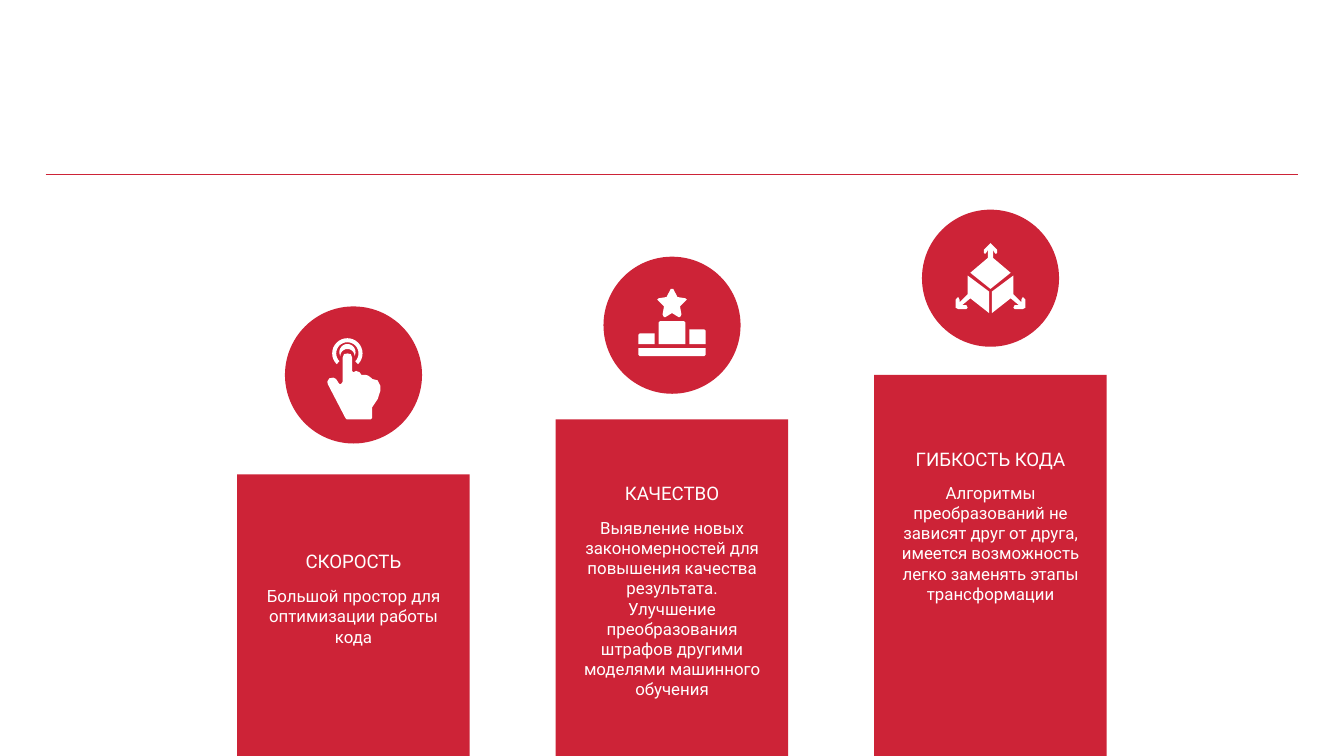
import math

import lxml.etree
import pptx
import pptx.dml.color
import pptx.enum.shapes
import pptx.enum.text
import pptx.oxml.ns
import pptx.util

Inches = pptx.util.Inches
SHAPES = pptx.enum.shapes.MSO_SHAPE
ANCHOR = pptx.enum.text.MSO_ANCHOR

SLIDE_W, SLIDE_H = 10, 10 * 9 / 16
RED, WHITE = "CD2337", "FFFFFF"
FONT = "Roboto"
COLUMN_STEP, BAR_W, CIRCLE = 2.37, 1.73, 1.02
HEADING_W, BODY_W = 2.27, 1.52


def mirror(points):
    return [(-x, y) for x, y in points]


def symmetric(left_half):
    return left_half + mirror(left_half)[::-1]


def arc(cx, cy, radius, start, end, steps=24):
    angles = [math.radians(start + (end - start) * i / steps) for i in range(steps + 1)]
    return [(cx + radius * math.cos(a), cy + radius * math.sin(a)) for a in angles]


# Icon outlines, in hundredths of an inch from the centre of the circle.
TOUCH_ICON = [
    arc(-4.5, -16, 11.3, 135, 405) + arc(-4.5, -16, 8.3, 405, 135),
    arc(-4.5, -17, 6, 160, 380) + arc(-4.5, -14, 5.3, 360, 180),
    [(-4.5, -16), (-7, -15.5), (-8, -13), (-8, 5), (-9, 6.5), (-10, 7),
     (-11, 6), (-13, 3), (-15, 2), (-18, 2.5), (-19.5, 5), (-19, 7),
     (-6, 32), (-5, 33), (13, 33), (14, 32), (14, 24), (18, 18), (20, 12),
     (20, 8), (18, 4), (14, 3), (13, 2), (11, 0.5), (9, 0), (6, 0),
     (4.5, -2), (2, -3), (0, -2), (-1, -3), (-1, -13), (-2, -15.5)],
]
PODIUM_ICON = [
    symmetric([(-1, -27), (-4, -21), (-10, -20), (-11, -19), (-10, -18),
               (-6, -14), (-7, -8), (-6, -6), (-5, -6), (0, -9)]),
    symmetric([(-10, 14), (-10, -2), (-9, -3)]),
    [(13, 3), (13, 14), (25, 14), (25, 4), (24, 3)],
    [(-24, 6), (-25, 7), (-25, 14), (-13, 14), (-13, 6)],
    symmetric([(-25, 17), (-25, 22), (-24, 23)]),
]
CUBE_SIDE = [(17, -2), (1, 10), (1, 26), (15, 15), (21, 20), (18, 20), (17, 22),
             (18, 23), (24, 23), (26, 22), (26, 16), (24, 14), (23, 16),
             (23, 18), (17, 12)]
CUBE_ICON = [
    CUBE_SIDE,
    mirror(CUBE_SIDE),
    symmetric([(0, -26), (-1, -25), (-5, -21), (-5, -19), (-4, -18), (-3, -19),
               (-2, -21), (-2, -15), (-15, -4), (0, 8)]),
]

# Tops are in inches from the top of the slide.
COLUMNS = [
    dict(heading="СКОРОСТЬ", icon=TOUCH_ICON, circle_top=2.28, bar_top=3.53,
         heading_box=(3.94, 0.4), body_box=(4.26, 0.8),
         body="Большой простор для оптимизации работы кода"),
    dict(heading="КАЧЕСТВО", icon=PODIUM_ICON, circle_top=1.91, bar_top=3.12,
         heading_box=(3.48, 0.36), body_box=(3.75, 1.63),
         body="Выявление новых закономерностей для повышения качества результата. "
              "Улучшение преобразования штрафов другими моделями машинного обучения"),
    dict(heading="ГИБКОСТЬ КОДА", icon=CUBE_ICON, circle_top=1.56, bar_top=2.79,
         heading_box=(3.26, 0.32), body_box=(3.49, 0.87),
         body="Алгоритмы преобразований не зависят друг от друга, имеется "
              "возможность легко заменять этапы трансформации"),
]


def rgb(value):
    return pptx.dml.color.RGBColor.from_string(value)


def paint(shape, color):
    shape.shadow.inherit = False
    shape.fill.solid()
    shape.fill.fore_color.rgb = rgb(color)
    shape.line.fill.background()


def add_block(slide, kind, left, top, width, height):
    block = slide.shapes.add_shape(
        kind, Inches(left), Inches(top), Inches(width), Inches(height))
    paint(block, RED)


def add_text(slide, text, left, top, width, height, size=9, color=WHITE,
             anchor=ANCHOR.TOP):
    box = slide.shapes.add_textbox(
        Inches(left), Inches(top), Inches(width), Inches(height))
    frame = box.text_frame
    frame.word_wrap = True
    frame.vertical_anchor = anchor
    frame.margin_left = frame.margin_right = Inches(0.1)
    frame.margin_top = frame.margin_bottom = Inches(0.1)
    paragraph = frame.paragraphs[0]
    paragraph.alignment = pptx.enum.text.PP_ALIGN.CENTER
    run = paragraph.add_run()
    run.text = text
    run.font.name = FONT
    run.font.size = pptx.util.Pt(size)
    run.font.color.rgb = rgb(color)


def add_icon(slide, outlines, center_x, center_y):
    for outline in outlines:
        points = [(Inches(center_x + x / 100), Inches(center_y + y / 100))
                  for x, y in outline]
        builder = slide.shapes.build_freeform(*points[0])
        builder.add_line_segments(points[1:], close=True)
        paint(builder.convert_to_shape(), WHITE)


def add_divider(slide, left, top, width):
    divider = slide.shapes.add_connector(
        pptx.enum.shapes.MSO_CONNECTOR.STRAIGHT,
        Inches(left), Inches(top), Inches(left + width), Inches(top))
    divider.line.color.rgb = rgb(RED)
    divider.line.width = pptx.util.Pt(0.75)
    lxml.etree.SubElement(divider._element.spPr, pptx.oxml.ns.qn("a:effectLst"))


def add_column(slide, center_x, column):
    def left_of(width):
        return center_x - width / 2

    bar_top, circle_top = column["bar_top"], column["circle_top"]
    add_block(slide, SHAPES.RECTANGLE, left_of(BAR_W), bar_top, BAR_W,
              SLIDE_H - bar_top)
    add_block(slide, SHAPES.OVAL, left_of(CIRCLE), circle_top, CIRCLE, CIRCLE)
    add_icon(slide, column["icon"], center_x, circle_top + CIRCLE / 2)
    top, height = column["heading_box"]
    add_text(slide, column["heading"], left_of(HEADING_W), top, HEADING_W, height,
             size=10, anchor=ANCHOR.BOTTOM)
    top, height = column["body_box"]
    add_text(slide, column["body"], left_of(BODY_W), top, BODY_W, height)


def main():
    presentation = pptx.Presentation()
    presentation.slide_width = Inches(SLIDE_W)
    presentation.slide_height = Inches(SLIDE_H)
    slide = presentation.slides.add_slide(presentation.slide_layouts[6])
    slide.background.fill.solid()
    slide.background.fill.fore_color.rgb = rgb(WHITE)
    for index, column in enumerate(COLUMNS):
        add_column(slide, SLIDE_W / 2 + (index - 1) * COLUMN_STEP, column)
    add_divider(slide, 0.34, 1.3, 9.32)
    presentation.save("out.pptx")


if __name__ == "__main__":
    main()
